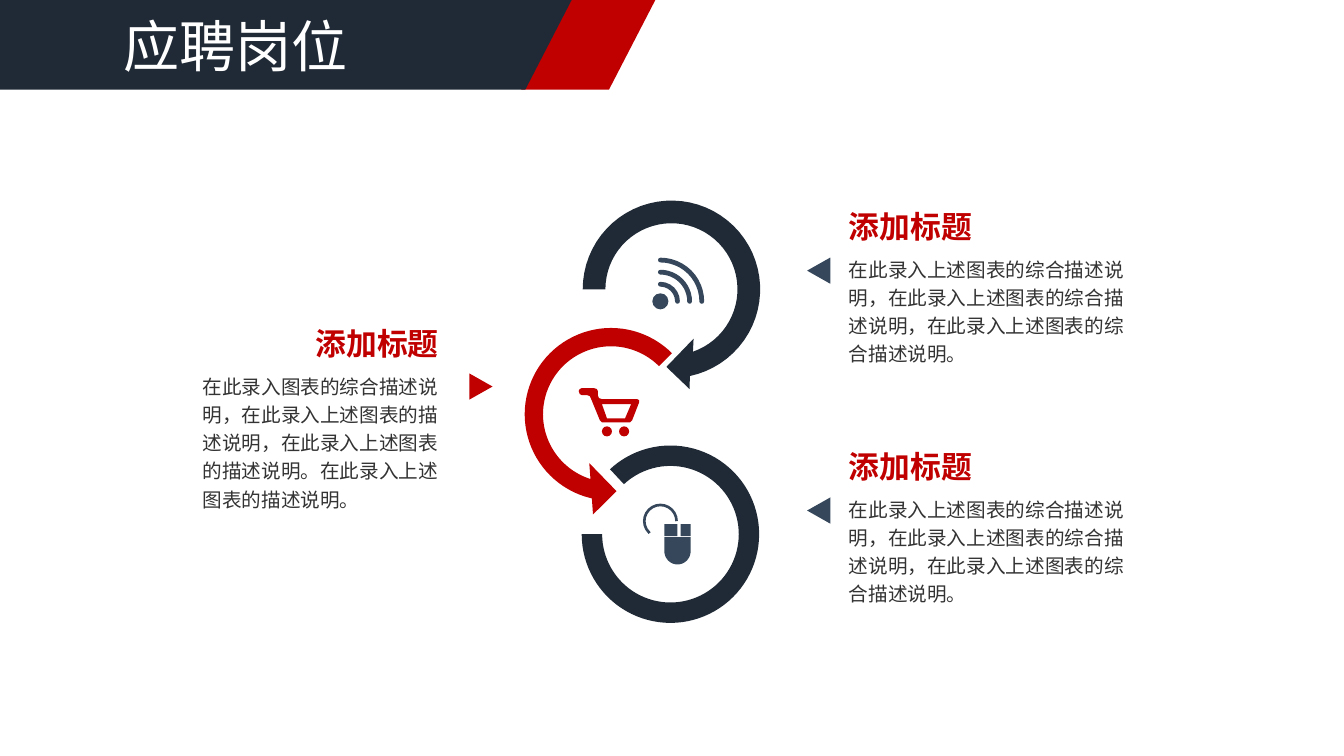
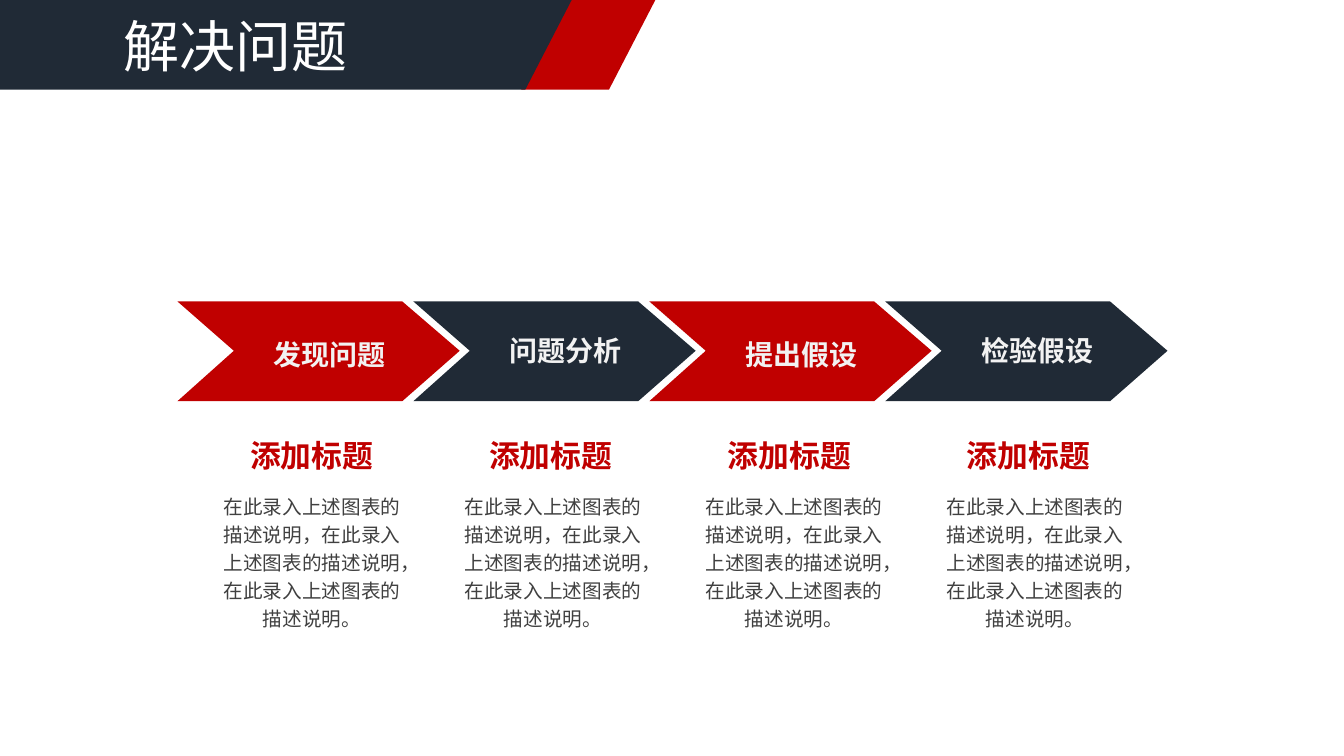
import math
from dataclasses import dataclass

import pptx
import pptx.dml.color
import pptx.enum.shapes
import pptx.enum.text
import pptx.oxml
import pptx.oxml.ns
import pptx.util

Inches = pptx.util.Inches
Pt = pptx.util.Pt
Shape = pptx.enum.shapes.MSO_SHAPE
Align = pptx.enum.text.PP_ALIGN
Anchor = pptx.enum.text.MSO_ANCHOR


@dataclass(frozen=True)
class Theme:
    red: str = "C00000"
    navy: str = "202A36"
    slate: str = "36475C"
    white: str = "FFFFFF"
    pale: str = "F2F2F2"
    body: str = "333333"
    body_soft: str = "404040"
    font: str = "Noto Sans CJK SC"
    step_font: str = "Arial"
    title_size: int = 40
    heading_size: int = 22
    step_size: int = 20
    body_size: int = 14
    spacing: float = 1.2


THEME = Theme()
HEADING = "添加标题"


def rgb(color):
    return pptx.dml.color.RGBColor.from_string(color)


# --- shapes ---
def paint(shape, color):
    shape.shadow.inherit = False
    shape.fill.solid()
    shape.fill.fore_color.rgb = rgb(color)
    shape.line.fill.background()


def add_preset(slide, kind, box, color, adjustments=(), rotation=0):
    shape = slide.shapes.add_shape(kind, *map(Inches, box))
    for index, value in enumerate(adjustments):
        shape.adjustments[index] = value
    shape.rotation = rotation
    paint(shape, color)


def add_outline(slide, color, *contours):
    builder = None
    for contour in contours:
        start, *rest = [(Inches(x), Inches(y)) for x, y in contour]
        if builder is None:
            builder = slide.shapes.build_freeform(*start)
        else:
            builder.move_to(*start)
        builder.add_line_segments(rest, close=True)
    paint(builder.convert_to_shape(), color)


def circle_box(center, radius):
    return center[0] - radius, center[1] - radius, 2 * radius, 2 * radius


def arc_points(center, radius, start, end, steps=48):
    """Points along an arc; angles in degrees, clockwise from the right."""
    angles = [math.radians(start + (end - start) * i / steps) for i in range(steps + 1)]
    return [(center[0] + radius * math.cos(a), center[1] + radius * math.sin(a))
            for a in angles]


def add_arc(slide, center, radius, width, start=270, end=0, cap="flat"):
    arc = slide.shapes.add_shape(Shape.ARC, *map(Inches, circle_box(center, radius)))
    # Adjustment units are 60000ths of a degree over 100000
    arc.adjustments[0], arc.adjustments[1] = start * 0.6, end * 0.6
    arc.shadow.inherit = False
    arc.fill.background()
    arc.line.color.rgb = rgb(THEME.slate)
    arc.line.width = Pt(width)
    arc.line._get_or_add_ln().set("cap", cap)


# --- text ---
def add_text(slide, box, text, size, color, font=THEME.font, bold=False, align=Align.LEFT,
             spacing=None, wrap=True, anchor=Anchor.TOP, insets=(0.1, 0.05)):
    frame = slide.shapes.add_textbox(*map(Inches, box)).text_frame
    frame.word_wrap = wrap
    frame.auto_size = pptx.enum.text.MSO_AUTO_SIZE.SHAPE_TO_FIT_TEXT
    frame.vertical_anchor = anchor
    frame.margin_left = frame.margin_right = Inches(insets[0])
    frame.margin_top = frame.margin_bottom = Inches(insets[1])
    paragraph = frame.paragraphs[0]
    paragraph.alignment = align
    if spacing:
        paragraph.line_spacing = spacing
    run = paragraph.add_run()
    run.text = text
    run.font.size = Pt(size)
    run.font.name = font
    run.font.bold = bold
    run.font.color.rgb = rgb(color)
    east_asian = pptx.oxml.parse_xml(
        f'<a:ea {pptx.oxml.ns.nsdecls("a")} typeface="{THEME.font}"/>')
    run.font._element.find(pptx.oxml.ns.qn("a:latin")).addnext(east_asian)


def add_heading(slide, left, top, align=Align.LEFT):
    add_text(slide, (left, top, 1.44, 0.47), HEADING, THEME.heading_size, THEME.red,
             bold=True, align=align, wrap=False)


def add_body(slide, box, text, color=THEME.body, align=Align.LEFT):
    add_text(slide, box, text, THEME.body_size, color, align=align, spacing=THEME.spacing)


def add_titled_slide(deck, title):
    slide = deck.slides.add_slide(deck.slide_layouts[6])
    add_preset(slide, Shape.PARALLELOGRAM, (5.17, 0, 1.33, 0.89), THEME.red, [0.517])
    add_outline(slide, THEME.navy, [(0, 0), (5.67, 0), (5.21, 0.89), (0, 0.89)])
    add_text(slide, (1.16, 0.07, 3.14, 0.75), title, THEME.title_size, THEME.white,
             insets=(0.07, 0.04))
    return slide


# --- rings and icons ---
def add_rings(slide):
    add_preset(slide, Shape.LEFT_CIRCULAR_ARROW, (5.04, 3.09, 2.04, 2.04), THEME.red,
               [0.089, 11.423, 62.936, 189, 0.125])
    add_preset(slide, Shape.BLOCK_ARC, (5.77, 4.42, 1.76, 1.76), THEME.navy,
               [136.244, 108, 0.115])
    center = (6.66, 2.87)
    arrowhead = [(6.84, 3.86), (6.61, 3.64), (6.88, 3.36)]
    add_outline(slide, THEME.navy, arc_points(center, 0.88, 180, 438) + arrowhead
                + arc_points(center, 0.655, 431, 180))


def add_signal_icon(slide):
    center = (6.55, 2.99)
    add_preset(slide, Shape.OVAL, circle_box(center, 0.08), THEME.slate)
    for radius in (0.17, 0.29, 0.41):
        add_arc(slide, center, radius, 3.4, cap="rnd")


def add_cart_icon(slide):
    for left in (5.97, 6.14):
        add_preset(slide, Shape.OVAL, (left, 4.23, 0.1, 0.1), THEME.red)
    frame = [(6.32, 3.96), (5.97, 3.96), (5.94, 3.95), (5.93, 3.92), (5.93, 3.88),
             (5.92, 3.86), (5.89, 3.85), (5.77, 3.85), (5.75, 3.86), (5.74, 3.88),
             (5.75, 3.91), (5.77, 3.92), (5.82, 3.92), (5.85, 3.93), (5.86, 3.95),
             (5.95, 4.17), (5.97, 4.19), (6, 4.19), (6.21, 4.19), (6.25, 4.19),
             (6.27, 4.17), (6.34, 3.99), (6.34, 3.97)]
    basket = [(6.2, 4.15), (6.02, 4.15), (5.97, 4.01), (6.26, 4.01)]
    add_outline(slide, THEME.red, frame, basket)


def add_mouse_icon(slide):
    for left, width in ((6.59, 0.13), (6.75, 0.1)):
        add_preset(slide, Shape.RECTANGLE, (left, 5.2, width, 0.12), THEME.slate)
    add_outline(slide, THEME.slate, [(6.59, 5.33), (6.85, 5.33)]
                + arc_points((6.72, 5.47), 0.13, 0, 180, 24))
    add_arc(slide, (6.55, 5.17), 0.16, 1.9, start=132)


# --- slides ---
def build_positions(deck):
    slide = add_titled_slide(deck, "应聘岗位")
    add_rings(slide)
    add_signal_icon(slide)
    add_cart_icon(slide)
    add_mouse_icon(slide)

    # Right-hand notes
    note = "，".join(["在此录入上述图表的综合描述说明"] * 3) + "。"
    for top in (2.01, 4.39):
        add_heading(slide, 8.32, top)
        add_preset(slide, Shape.ISOSCELES_TRIANGLE, (7.99, top + 0.56, 0.26, 0.23),
                   THEME.slate, rotation=270)
        add_body(slide, (8.32, top + 0.45, 3.09, 1.23), note)

    # Left-hand note
    add_heading(slide, 3.01, 3.17, Align.RIGHT)
    add_preset(slide, Shape.ISOSCELES_TRIANGLE, (4.64, 3.72, 0.26, 0.23), THEME.red,
               rotation=90)
    add_body(slide, (1.91, 3.62, 2.67, 1.51),
             "在此录入图表的综合描述说明，在此录入上述图表的描述说明，"
             "在此录入上述图表的描述说明。在此录入上述图表的描述说明。")


def build_problem_solving(deck):
    slide = add_titled_slide(deck, "解决问题")
    note = "，".join(["在此录入上述图表的描述说明"] * 3) + "。"
    top, middle, bottom = 2.99, 3.48, 3.98
    for index, step in enumerate(["发现问题", "问题分析", "提出假设", "检验假设"]):
        # Chevron and its label
        left = 1.76 + 2.34 * index
        color, spacing, height = ((THEME.navy, None, 0.44) if index % 2
                                  else (THEME.red, THEME.spacing, 0.47))
        add_outline(slide, color, [(left, top), (left + 2.23, top), (left + 2.8, middle),
                                   (left + 2.23, bottom), (left, bottom),
                                   (left + 0.56, middle)])
        add_text(slide, (left + 0.33, middle - height / 2, 2.36, height), step,
                 THEME.step_size, THEME.pale, THEME.step_font, bold=True,
                 align=Align.CENTER, spacing=spacing, anchor=Anchor.MIDDLE)
        # Description below
        add_heading(slide, 2.37 + 2.37 * index, 4.28, Align.CENTER)
        add_body(slide, (2.06 + 2.39 * index, 4.81, 2.07, 1.51), note,
                 THEME.body_soft, Align.CENTER)


def main():
    deck = pptx.Presentation()
    deck.slide_width, deck.slide_height = Inches(13.33), Inches(7.5)
    build_positions(deck)
    build_problem_solving(deck)
    deck.save("out.pptx")


if __name__ == "__main__":
    main()
